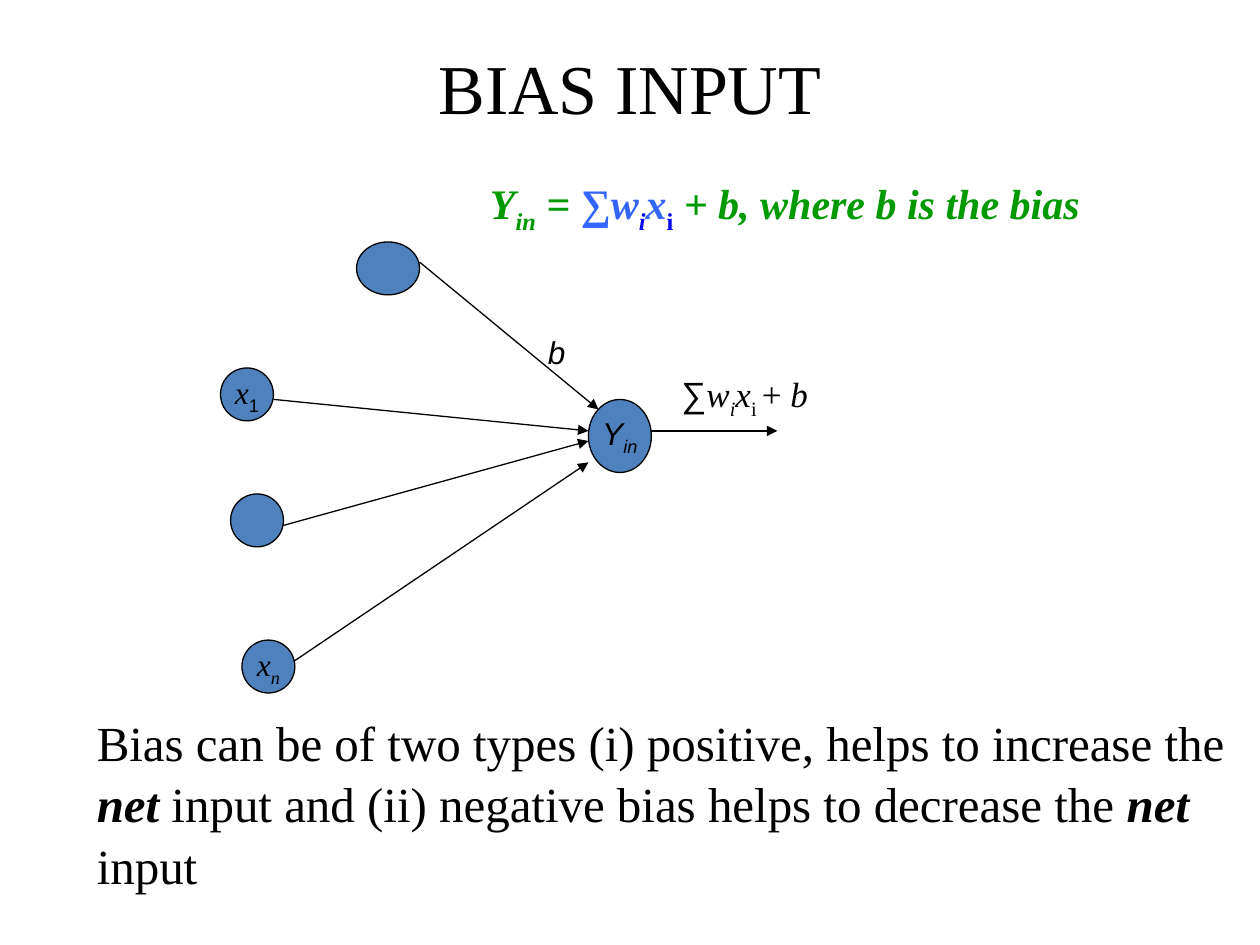
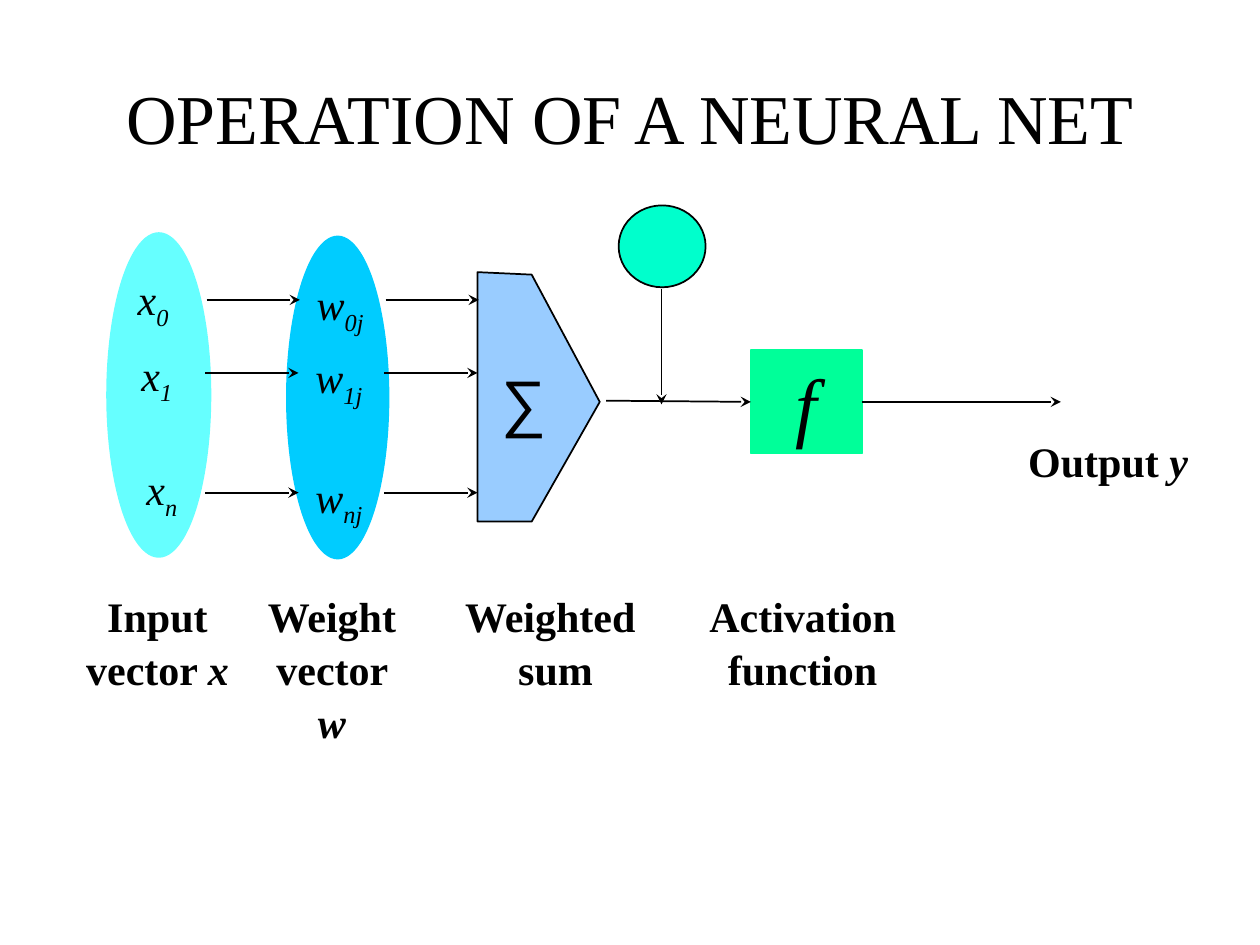
import dataclasses
import typing

import pptx
import pptx.dml.color
import pptx.enum.shapes
import pptx.enum.text
import pptx.oxml
import pptx.oxml.ns
import pptx.util

SCALE = 9144  # EMU per px, 100 px to the inch
SHAPE = pptx.enum.shapes.MSO_SHAPE
ALIGN = pptx.enum.text.PP_ALIGN
ANCHOR = pptx.enum.text.MSO_ANCHOR
FIT = pptx.enum.text.MSO_AUTO_SIZE


@dataclasses.dataclass(frozen=True)
class Theme:
    serif: str = "Times New Roman"
    sans: str = "Arial"
    ink: str = "000000"
    neuron: str = "4F81BD"
    green: str = "009900"
    blue: str = "3366FF"
    index_blue: str = "0000FF"
    inputs: str = "66FFFF"
    weights: str = "00CCFF"
    summing: str = "99CCFF"
    bias: str = "00FFCC"
    activation: str = "00FF99"
    title_size: int = 40
    symbol_size: int = 44
    sum_size: int = 36
    body_size: int = 28
    label_size: int = 24
    formula_size: int = 20
    node_size: int = 18
    thin: float = 0.75
    medium: float = 1
    spacing: float = 1.05


T = Theme()


@dataclasses.dataclass(frozen=True)
class Run:
    """Text whose set fields override the format of its text frame."""
    text: str
    italic: typing.Optional[bool] = None
    bold: typing.Optional[bool] = None
    font: typing.Optional[str] = None
    color: typing.Optional[str] = None
    sub: bool = False


Paragraph = typing.List[Run]


@dataclasses.dataclass(frozen=True)
class Box:
    x: int
    y: int
    w: int
    h: int

    def emu(self) -> typing.List[int]:
        return [v * SCALE for v in (self.x, self.y, self.w, self.h)]


@dataclasses.dataclass(frozen=True)
class Node:
    box: Box
    runs: typing.Tuple[Run, ...] = ()


@dataclasses.dataclass(frozen=True)
class Arrow:
    x1: int
    y1: int
    x2: int
    y2: int


@dataclasses.dataclass(frozen=True)
class Label:
    box: Box
    paragraphs: typing.List[Paragraph]
    wrap: bool = False


@dataclasses.dataclass(frozen=True)
class Row:
    index: str
    y: int
    x_left: int
    x_top: int
    shift: int = 0


def rgb(color: str) -> pptx.dml.color.RGBColor:
    return pptx.dml.color.RGBColor.from_string(color)


def pick(value, default):
    return default if value is None else value


def write(tf, paragraphs: typing.List[Paragraph], *, size: int, font: str = T.serif,
          color: str = T.ink, bold: bool = False, italic: bool = False,
          align=ALIGN.CENTER, anchor=ANCHOR.TOP, wrap: bool = False,
          fit=FIT.SHAPE_TO_FIT_TEXT, spacing: float = T.spacing) -> None:
    tf.word_wrap = wrap
    tf.auto_size = fit
    tf.vertical_anchor = anchor
    for i, runs in enumerate(paragraphs):
        p = tf.paragraphs[0] if i == 0 else tf.add_paragraph()
        p.alignment = align
        p.line_spacing = spacing
        for item in runs:
            r = p.add_run()
            r.text = item.text
            f = r.font
            f.size = pptx.util.Pt(size)
            f.name = pick(item.font, font)
            f.color.rgb = rgb(pick(item.color, color))
            f.bold = pick(item.bold, bold)
            f.italic = pick(item.italic, italic)
            if item.sub:
                r._r.get_or_add_rPr().set("baseline", "-25000")


def add_text(slide, box: Box, paragraphs: typing.List[Paragraph], **fmt) -> None:
    write(slide.shapes.add_textbox(*box.emu()).text_frame, paragraphs, **fmt)


def paint(sp, fill: str, line: typing.Optional[str], width: float) -> None:
    sp.shadow.inherit = False
    sp.fill.solid()
    sp.fill.fore_color.rgb = rgb(fill)
    if line is None:
        sp.line.fill.background()
    else:
        sp.line.color.rgb = rgb(line)
        sp.line.width = pptx.util.Pt(width)


def add_shape(slide, kind, box: Box, fill: str, line: typing.Optional[str] = T.ink,
              width: float = T.medium):
    sp = slide.shapes.add_shape(kind, *box.emu())
    paint(sp, fill, line, width)
    return sp


def add_arrow(slide, arrow: Arrow, head: str, width: float):
    ends = [v * SCALE for v in (arrow.x1, arrow.y1, arrow.x2, arrow.y2)]
    cx = slide.shapes.add_connector(pptx.enum.shapes.MSO_CONNECTOR.STRAIGHT, *ends)
    cx.line.color.rgb = rgb(T.ink)
    cx.line.width = pptx.util.Pt(width)
    ns = pptx.oxml.ns.nsdecls("a")
    cx.line._get_or_add_ln().append(
        pptx.oxml.parse_xml(f'<a:tailEnd {ns} type="{head}"/>'))
    cx._element.spPr.append(pptx.oxml.parse_xml(f"<a:effectLst {ns}/>"))
    return cx


def add_slide(prs, title: str, box: Box):
    slide = prs.slides.add_slide(prs.slide_layouts[5])
    sp = slide.shapes.title
    sp.left, sp.top, sp.width, sp.height = box.emu()
    write(sp.text_frame, [[Run(title)]], size=T.title_size, anchor=ANCHOR.MIDDLE,
          wrap=True, fit=FIT.NONE, spacing=1)
    return slide


def build_bias_slide(prs) -> None:
    slide = add_slide(prs, "BIAS INPUT", Box(50, 30, 900, 78))

    # Neurons
    nodes = [
        Node(Box(467, 317, 50, 58),
             (Run("Y", font=T.sans), Run("in", font=T.sans, sub=True))),
        Node(Box(283, 192, 50, 42)),
        Node(Box(175, 292, 42, 42),
             (Run("x"), Run("1", italic=False, font=T.sans, sub=True))),
        Node(Box(183, 392, 42, 42)),
        Node(Box(192, 508, 42, 42), (Run("x"), Run("n", sub=True))),
    ]
    for node in nodes:
        sp = add_shape(slide, SHAPE.OVAL, node.box, T.neuron, width=T.thin)
        if node.runs:
            write(sp.text_frame, [list(node.runs)], size=T.node_size, italic=True,
                  anchor=ANCHOR.MIDDLE, fit=FIT.NONE, spacing=1)

    # Weighted links and output
    for arrow in (Arrow(217, 317, 467, 342), Arrow(225, 417, 467, 350),
                  Arrow(233, 525, 467, 367), Arrow(333, 208, 475, 325),
                  Arrow(517, 342, 617, 342)):
        add_arrow(slide, arrow, "triangle", T.thin)

    # Formulas and explanation
    add_text(slide, Box(425, 258, 42, 40), [[Run("b")]], size=T.node_size,
             font=T.sans, italic=True, align=ALIGN.LEFT, wrap=True)
    add_text(slide, Box(67, 558, 917, 150), [[
        Run("Bias can be of two types (i) positive, helps to increase the "),
        Run("net", bold=True, italic=True),
        Run(" input and (ii) negative bias helps to decrease the "),
        Run("net ", bold=True, italic=True),
        Run("input"),
    ]], size=T.body_size, align=ALIGN.LEFT, wrap=True)
    add_text(slide, Box(379, 134, 488, 56), [[
        Run("Y"), Run("in", sub=True), Run(" = "),
        Run("∑", italic=False, color=T.blue),
        Run("w", color=T.blue), Run("i", color=T.index_blue, sub=True),
        Run("x", color=T.blue),
        Run("i", italic=False, color=T.index_blue, sub=True),
        Run(" + b, where b is the bias"),
    ]], size=T.label_size, color=T.green, bold=True, italic=True, align=ALIGN.LEFT)
    add_text(slide, Box(531, 289, 183, 48), [[
        Run("∑", font=T.sans), Run("w", italic=True),
        Run("i", italic=True, sub=True), Run("x", italic=True),
        Run("i ", sub=True), Run("+ "), Run("b", italic=True),
    ]], size=T.formula_size, align=ALIGN.LEFT, wrap=True)


def build_operation_slide(prs) -> None:
    slide = add_slide(prs, "OPERATION OF A NEURAL NET", Box(50, 30, 900, 125))

    # Input and weight vectors
    add_shape(slide, SHAPE.OVAL, Box(227, 187, 82, 257), T.weights, line=None)
    add_shape(slide, SHAPE.OVAL, Box(85, 185, 82, 257), T.inputs, line=T.inputs)

    # Weighted sum
    outline = [(379, 414), (422, 414), (476, 319), (422, 218)]
    builder = slide.shapes.build_freeform(379, 216, scale=SCALE)
    builder.add_line_segments(outline, close=True)
    paint(builder.convert_to_shape(), T.summing, T.ink, T.medium)
    add_text(slide, Box(388, 280, 55, 70), [[Run("∑")]], size=T.sum_size, font=T.sans)

    # Bias
    add_shape(slide, SHAPE.OVAL, Box(491, 163, 69, 65), T.bias)
    add_arrow(slide, Arrow(525, 229, 525, 321), "stealth", T.medium)

    # Activation function with its input and output
    activation = add_shape(slide, SHAPE.RECTANGLE, Box(596, 278, 88, 82),
                           T.activation, line=T.activation)
    write(activation.text_frame, [[Run("f")]], size=T.symbol_size, italic=True,
          wrap=True, fit=FIT.NONE, spacing=1)
    add_arrow(slide, Arrow(481, 318, 596, 319), "stealth",
              T.medium).end_connect(activation, 1)
    add_arrow(slide, Arrow(684, 319, 842, 319), "stealth",
              T.medium).begin_connect(activation, 3)

    # Rows of components
    rows = [Row("0", 238, 99, 210, shift=1), Row("1", 296, 102, 270),
            Row("n", 391, 106, 361)]
    for row in rows:
        for start in (163, 305):
            x = start + row.shift
            add_arrow(slide, Arrow(x, row.y, x + 74, row.y), "stealth", T.medium)
        add_text(slide, Box(row.x_left, row.x_top, 45, 56),
                 [[Run("x"), Run(row.index, sub=True)]],
                 size=T.label_size, italic=True)
        add_text(slide, Box(240 + row.shift, row.y - 24, 58, 56),
                 [[Run("w"), Run(row.index + "j", sub=True)]],
                 size=T.label_size, italic=True)

    # Stage labels
    labels = [
        Label(Box(58, 462, 134, 90),
              [[Run("Input")], [Run("vector "), Run("x", italic=True)]]),
        Label(Box(195, 462, 137, 130),
              [[Run("Weight")], [Run("vector "), Run("w", italic=True)]], wrap=True),
        Label(Box(358, 462, 166, 90), [[Run("Weighted ")], [Run("sum")]]),
        Label(Box(553, 462, 168, 90), [[Run("Activation")], [Run("function")]]),
        Label(Box(806, 339, 147, 50), [[Run("Output "), Run("y", italic=True)]]),
    ]
    for label in labels:
        add_text(slide, label.box, label.paragraphs, size=T.label_size, bold=True,
                 wrap=label.wrap)


def main() -> None:
    prs = pptx.Presentation()
    prs.slide_width, prs.slide_height = 1000 * SCALE, 750 * SCALE
    build_bias_slide(prs)
    build_operation_slide(prs)
    prs.save("out.pptx")


if __name__ == "__main__":
    main()
